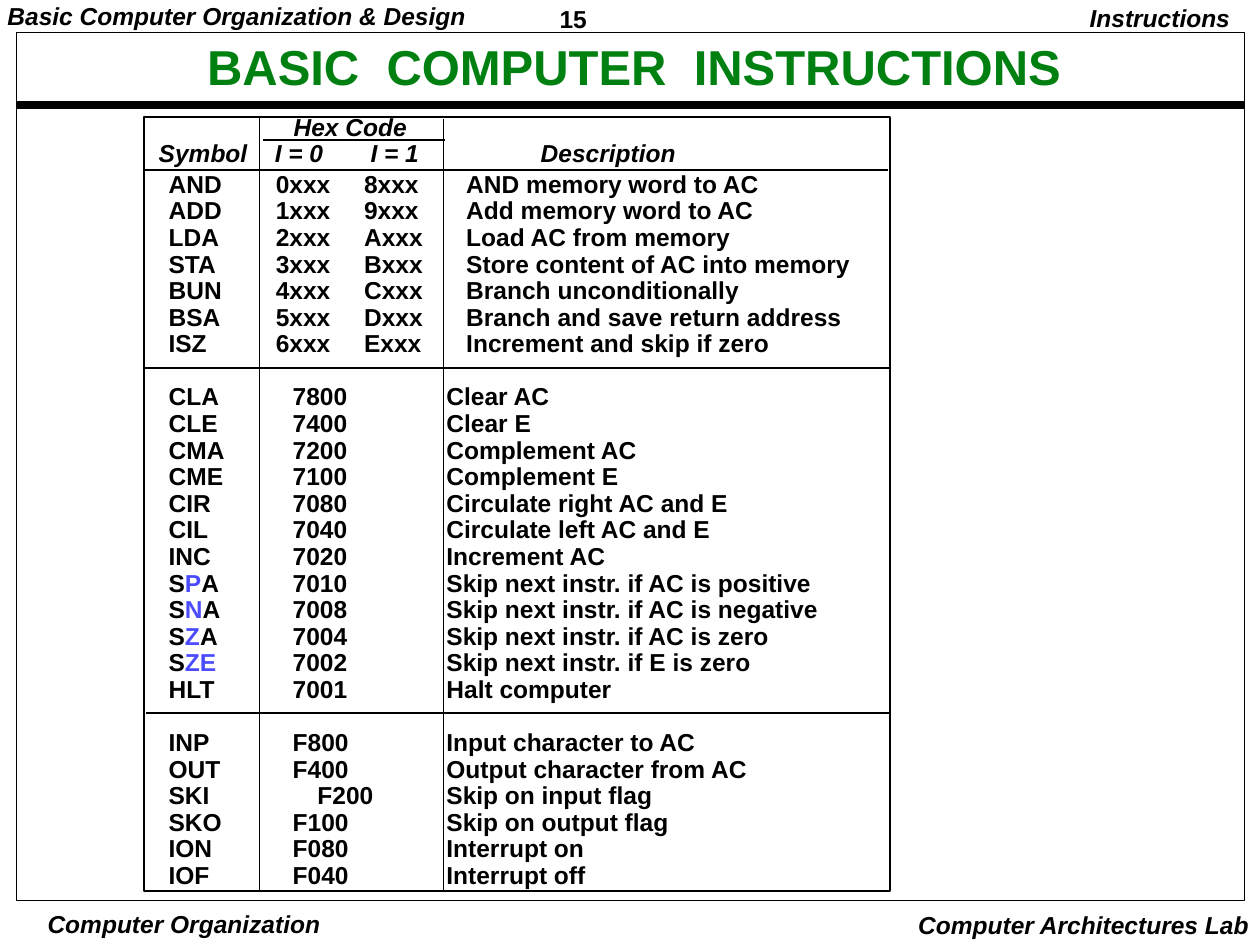
from dataclasses import dataclass
from lxml.etree import SubElement as Sub
from pptx import Presentation as Deck
from pptx.dml.color import RGBColor as Rgb
from pptx.enum.shapes import MSO_CONNECTOR as Link, MSO_SHAPE as Form
from pptx.enum.text import MSO_ANCHOR as Anchor, MSO_AUTO_SIZE as Fit, PP_ALIGN as Align
from pptx.oxml.ns import qn
from pptx.util import Cm, Pt


@dataclass(frozen=True)
class Theme:
    face: str = "Arial"
    ink: Rgb = Rgb(0x00, 0x00, 0x00)
    green: Rgb = Rgb(0x00, 0x80, 0x11)
    blue: Rgb = Rgb(0x4C, 0x4C, 0xFF)
    head: Pt = Pt(28)
    text: Pt = Pt(14)


theme = Theme()


def setup(shape, place, pads):
    shape.left, shape.top, shape.width, shape.height = [Cm(n) for n in place]
    frame = shape.text_frame
    frame.word_wrap = True
    frame.auto_size = Fit.NONE
    frame.vertical_anchor = Anchor.TOP
    frame.margin_left, frame.margin_top, frame.margin_right, frame.margin_bottom = [Cm(n) for n in pads]
    return frame


def write(para, parts, tabs=(), slant=False, size=theme.text):
    if tabs:
        stops = Sub(para._p.get_or_add_pPr(), qn("a:tabLst"))
        for stop in tabs:
            Sub(stops, qn("a:tab"), pos=str(Cm(stop)), algn="l")
    for text, color in parts:
        run = para.add_run()
        run.text = text
        font = run.font
        font.name, font.size, font.bold, font.italic = theme.face, size, True, slant
        font.color.rgb = color


deck = Deck()
deck.slide_width, deck.slide_height = Cm(25.4), Cm(19.05)
slide = deck.slides.add_slide(deck.slide_layouts[5])
shapes = slide.shapes

labels = [
    ("15", (11.1, 0, 2.74, 0.74), (0.18, 0.08), Align.LEFT, 1, False),
    ("Basic Computer Organization & Design", (-0.03, 0, 10, 0.69), (0.18, 0.08), Align.LEFT, 0.9, True),
    ("Computer Organization", (0.74, 18.29, 5.94, 0.66), (0.08, 0.03), Align.CENTER, 1, True),
    ("Computer Architectures Lab", (17.74, 18.21, 7.69, 0.84), (0.25, 0.13), Align.RIGHT, 1, True),
    ("Instructions", (21.22, 0, 3.83, 0.79), (0.25, 0.13), Align.RIGHT, 0.9, True),
]
for text, place, pads, align, space, slant in labels:
    para = setup(shapes.add_textbox(0, 0, 0, 0), place, pads * 2).paragraphs[0]
    write(para, [(text, theme.ink)], slant=slant)
    para.alignment, para.line_spacing = align, space

for place, width in [((0.33, 0.66, 24.76, 17.5), 0.5), ((2.9, 2.36, 15.04, 15.6), 1)]:
    rect = shapes.add_shape(Form.RECTANGLE, *[Cm(n) for n in place])
    rect.shadow.inherit = False
    rect.fill.background()
    rect.line.color.rgb, rect.line.width = theme.ink, Pt(width)

rules = [
    (0.33, 2.11, 25.07, 2.11, 4.5),
    (5.31, 2.82, 8.97, 2.82, 1),
    (2.9, 3.43, 17.91, 3.43, 1),
    (2.92, 7.42, 17.93, 7.42, 1),
    (2.95, 14.38, 17.96, 14.38, 1),
    (5.23, 2.36, 5.23, 17.96, 0.75),
    (8.94, 2.39, 8.94, 17.98, 0.75),
]
for *ends, width in rules:
    rule = shapes.add_connector(Link.STRAIGHT, *[Cm(n) for n in ends])
    rule.line.color.rgb, rule.line.width = theme.ink, Pt(width)
    Sub(rule._element.spPr, qn("a:effectLst"))

para = setup(shapes.title, (3.99, 0.82, 17.58, 1.17), (0.18, 0.08) * 2).paragraphs[0]
words = ["BASIC", " ", "COMPUTER", " ", "INSTRUCTIONS"]
write(para, [(word, theme.green) for word in words], size=theme.head)
for gap in para.runs[1::2]:
    gap._r.get_or_add_rPr().set("spc", "780")
para.alignment, para.line_spacing = Align.CENTER, 0.87

frame = setup(shapes.add_textbox(0, 0, 0, 0), (3.02, 2.24, 10.82, 1.22), (0.18, 0.08) * 2)
heads = [("\tHex Code", (2.72,)), ("Symbol\tI = 0\tI = 1\tDescription", (2.34, 4.27, 7.7))]
for pos, (text, tabs) in enumerate(heads):
    para = frame.add_paragraph() if pos else frame.paragraphs[0]
    write(para, [(text, theme.ink)], tabs, slant=True)
    para.line_spacing = 0.9

groups = [
    ((2.16, 3.94, 6), [
        ("AND", "0xxx", "8xxx", "AND memory word to AC"),
        ("ADD", "1xxx", "9xxx", "Add memory word to AC"),
        ("LDA", "2xxx", "Axxx", "Load AC from memory"),
        ("STA", "3xxx", "Bxxx", "Store content of AC into memory"),
        ("BUN", "4xxx", "Cxxx", "Branch unconditionally"),
        ("BSA", "5xxx", "Dxxx", "Branch and save return address"),
        ("ISZ", "6xxx", "Exxx", "Increment and skip if zero"),
    ]),
    ((2.5, 5.6), [
        ("CLA", "7800", "Clear AC"),
        ("CLE", "7400", "Clear E"),
        ("CMA", "7200", "Complement AC"),
        ("CME", "7100", "Complement E"),
        ("CIR", "7080", "Circulate right AC and E"),
        ("CIL", "7040", "Circulate left AC and E"),
        ("INC", "7020", "Increment AC"),
        ("S|P|A", "7010", "Skip next instr. if AC is positive"),
        ("S|N|A", "7008", "Skip next instr. if AC is negative"),
        ("S|Z|A", "7004", "Skip next instr. if AC is zero"),
        ("S|ZE|", "7002", "Skip next instr. if E is zero"),
        ("HLT", "7001", "Halt computer"),
    ]),
    ((2.5, 5.6), [
        ("INP", "F800", "Input character to AC"),
        ("OUT", "F400", "Output character from AC"),
        ("SKI", "F200", "Skip on input flag"),
        ("SKO", "F100", "Skip on output flag"),
        ("ION", "F080", "Interrupt on"),
        ("IOF", "F040", "Interrupt off"),
    ]),
]
shifts = {"SKI": (3, 5.6)}
pitch = Pt(15.2)
frame = setup(shapes.add_textbox(0, 0, 0, 0), (1.55, 3.4, 15.88, 15.14), (1.85, 0.06, 0.25, 0.13))
for part, (tabs, rows) in enumerate(groups):
    for pos, row in enumerate(rows):
        para = frame.add_paragraph() if part or pos else frame.paragraphs[0]
        bits = "\t".join(row).split("|")
        runs = [(bit, theme.blue if n % 2 else theme.ink) for n, bit in enumerate(bits)]
        write(para, runs, shifts.get(row[0], tabs))
        para.line_spacing = pitch
        para.space_before = pitch if part and not pos else Pt(0)

deck.save("out.pptx")
